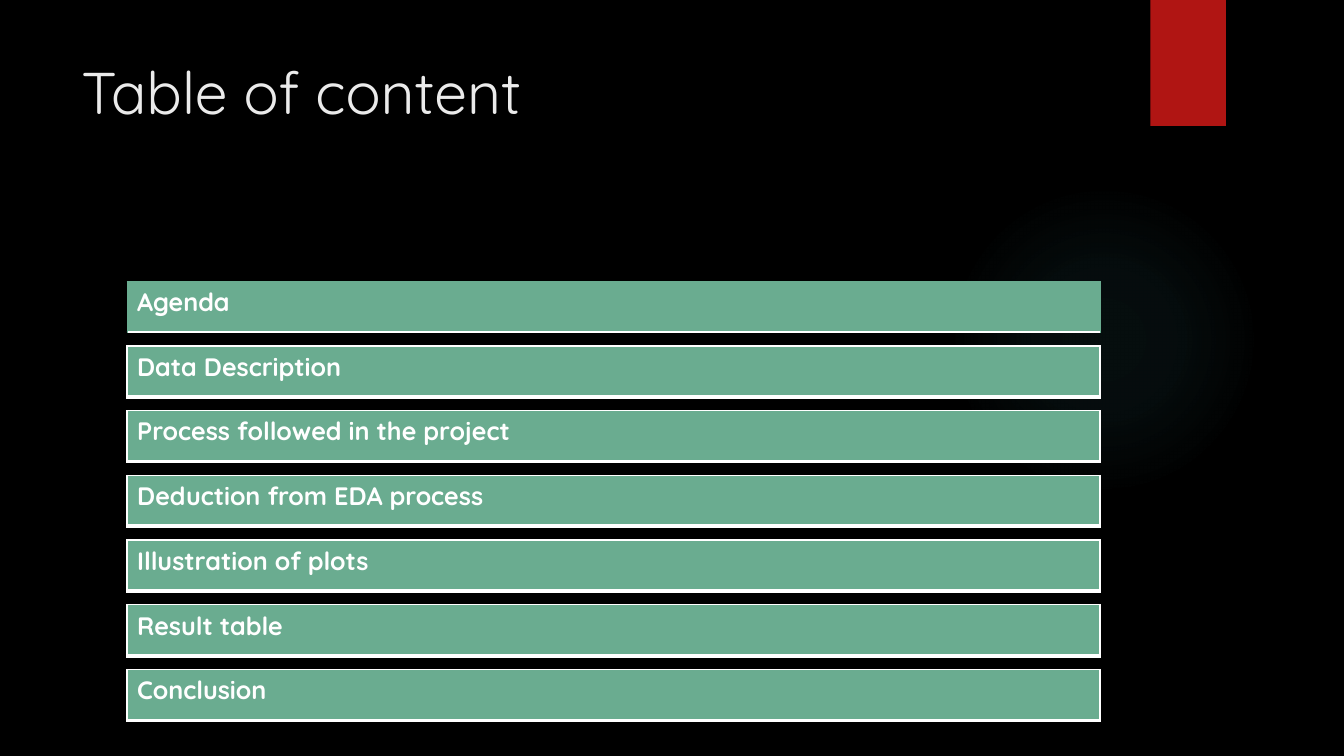
from pptx import Presentation
from pptx.dml.color import RGBColor
from pptx.enum.shapes import MSO_SHAPE
from pptx.oxml import parse_xml
from pptx.oxml.ns import nsdecls, qn
from pptx.util import Inches, Pt

ELLIPSE = MSO_SHAPE.OVAL
RECTANGLE = MSO_SHAPE.RECTANGLE
FONT = "Quicksand"
COLORS = {
    "background": "000000",
    "glow": "50B9C1",
    "ribbon": "B01513",
    "title": "EBEBEB",
    "bar": "6AAC90",
    "white": "FFFFFF",
}
GLOW_STOPS = [(0, 7), (36, 6), (69, 0)]
FIRST_BORDERS = {"L": ("bar", 0.75), "R": ("bar", 0.75), "T": ("bar", 0.75), "B": ("white", 1.5)}
OTHER_BORDERS = {"L": ("white", 1), "R": ("white", 1), "T": ("white", 1), "B": ("white", 3)}
TOPICS = [
    "Agenda",
    "Data Description",
    "Process followed in the project",
    "Deduction from EDA process",
    "Illustration of plots",
    "Result table",
    "Conclusion",
]
BAR_PITCH = 0.642
BAR_HEIGHT = 0.505


def color(name):
    """Return the named colour."""
    return RGBColor.from_string(COLORS[name])


def write_text(text_frame, text, *, size, color_name, bold=False):
    """Put one formatted line of text into a text frame."""
    run = text_frame.paragraphs[0].add_run()
    run.text = text
    run.font.name = FONT
    run.font.size = Pt(size)
    run.font.bold = bold
    run.font.color.rgb = color(color_name)


def add_plain_shape(slide, kind, box):
    """Add a preset shape without line or shadow."""
    shape = slide.shapes.add_shape(kind, *map(Inches, box))
    shape.shadow.inherit = False
    shape.line.fill.background()
    return shape


def add_glow(slide, box):
    """Add a faint circle that fades out from its centre."""
    shape = add_plain_shape(slide, ELLIPSE, box)
    shape.fill.background()
    stops = "".join(
        f'<a:gs pos="{position * 1000}"><a:srgbClr val="{COLORS["glow"]}">'
        f'<a:alpha val="{alpha * 1000}"/></a:srgbClr></a:gs>'
        for position, alpha in GLOW_STOPS
    )
    gradient = parse_xml(
        f'<a:gradFill {nsdecls("a")}><a:gsLst>{stops}</a:gsLst><a:path path="circle">'
        '<a:fillToRect l="50000" t="50000" r="50000" b="50000"/></a:path></a:gradFill>'
    )
    properties = shape.element.spPr
    properties.replace(properties.find(qn("a:noFill")), gradient)


def add_ribbon(slide, box):
    """Add the solid ribbon at the top edge."""
    shape = add_plain_shape(slide, RECTANGLE, box)
    shape.fill.solid()
    shape.fill.fore_color.rgb = color("ribbon")


def add_title(slide, text, box):
    """Add the slide title."""
    text_frame = slide.shapes.add_textbox(*map(Inches, box)).text_frame
    text_frame.word_wrap = True
    write_text(text_frame, text, size=42, color_name="title")


def add_bar(slide, topic, box, borders):
    """Add one topic as a table of a single bordered cell."""
    table = slide.shapes.add_table(1, 1, *map(Inches, box)).table
    table.first_row = False
    table.horz_banding = False
    cell = table.cell(0, 0)
    properties = cell._tc.get_or_add_tcPr()
    for side, (color_name, width) in borders.items():
        properties.append(parse_xml(
            f'<a:ln{side} {nsdecls("a")} w="{Pt(width)}"><a:solidFill>'
            f'<a:srgbClr val="{COLORS[color_name]}"/></a:solidFill></a:ln{side}>'
        ))
    cell.fill.solid()
    cell.fill.fore_color.rgb = color("bar")
    write_text(cell.text_frame, topic, size=18, color_name="white", bold=True)


def add_topics(slide, topics, left, top, width):
    """Stack the topic bars at an equal pitch."""
    for index, topic in enumerate(topics):
        box = (left, top + index * BAR_PITCH, width, BAR_HEIGHT)
        add_bar(slide, topic, box, OTHER_BORDERS if index else FIRST_BORDERS)


def main():
    """Build the contents slide and save it."""
    presentation = Presentation()
    presentation.slide_width = Inches(13.33)
    presentation.slide_height = Inches(7.5)
    slide = presentation.slides.add_slide(presentation.slide_layouts[6])
    slide.background.fill.solid()
    slide.background.fill.fore_color.rgb = color("background")
    add_glow(slide, (9.41, 1.83, 3.08, 3.08))
    add_ribbon(slide, (11.41, 0, 0.75, 1.25))
    add_title(slide, "Table of content", (0.71, 0.5, 10.29, 1.53))
    add_topics(slide, TOPICS, 1.26, 2.79, 9.65)
    presentation.save("out.pptx")


if __name__ == "__main__":
    main()
